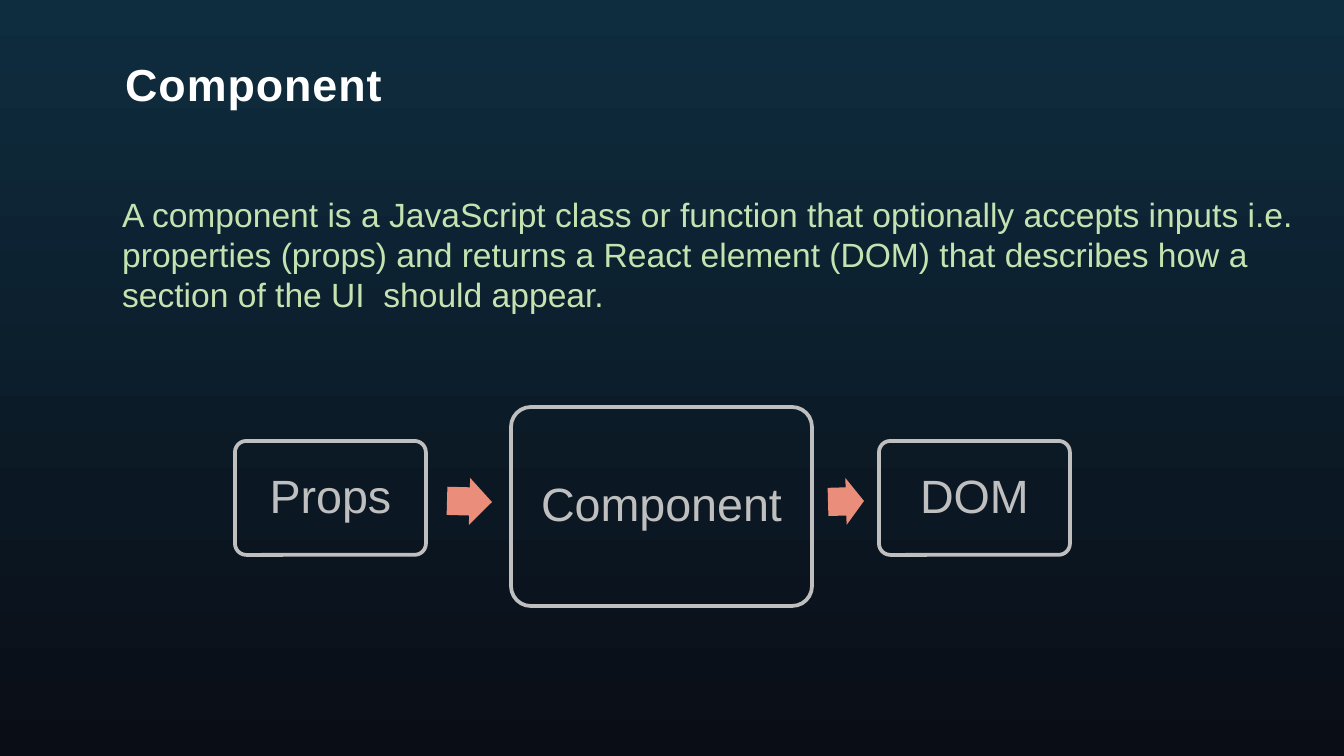
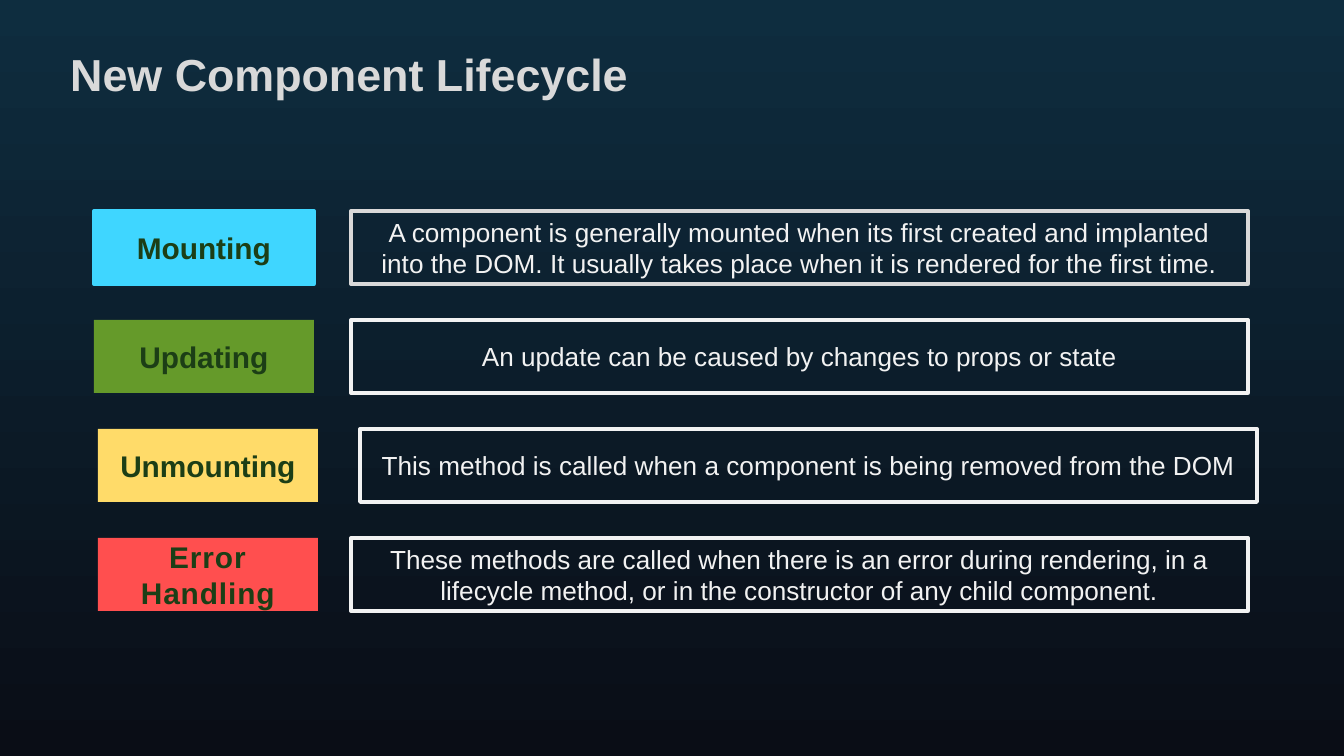
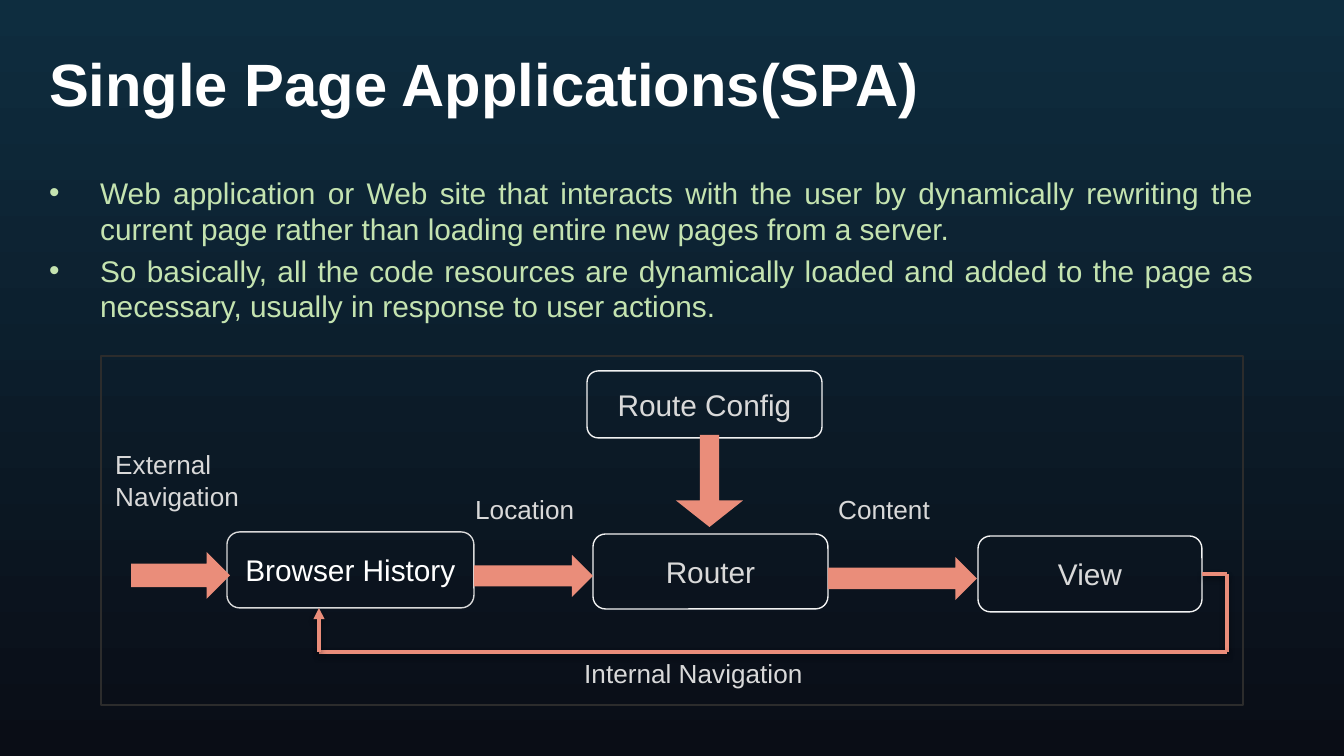
from lxml.etree import SubElement
from pptx import Presentation
from pptx.dml.color import RGBColor
from pptx.enum.shapes import MSO_CONNECTOR as Connector, MSO_SHAPE as Shape
from pptx.enum.text import MSO_ANCHOR as Anchor, PP_ALIGN as Align
from pptx.oxml.ns import qn
from pptx.util import Pt

# Shared look
WIDTH, HEIGHT = 1344, 756
SCALE = 9144000 / WIDTH
FONT = "Arial"
COLORS = {
    "sky": "0E2D3F", "night": "0A0D16", "white": "FFFFFF", "pale": "F2F2F2",
    "light": "D9D9D9", "gray": "BFBFBF", "frame": "2C2C2C", "mint": "C4E3B0",
    "coral": "EA8D7A", "forest": "1C3E16", "blue": "3FD6FF", "green": "659A2A",
    "yellow": "FFDB69", "red": "FF4F4F", "shadow": "000000",
}


def px(length):
    return round(length * SCALE)


def rgb(name):
    return RGBColor.from_string(COLORS[name])


# Text
def add_bullet(paragraph, indent):
    properties = paragraph._p.get_or_add_pPr()
    properties.set("marL", str(px(indent)))
    properties.set("indent", str(-px(indent)))
    SubElement(properties, qn("a:buFont")).set("typeface", FONT)
    SubElement(properties, qn("a:buChar")).set("char", "•")


def write_text(shape, text, *, size, color, bold=False, align=Align.LEFT,
               anchor=Anchor.TOP, wrap=True, spacing=0, before=0, line=None,
               bullet_indent=0):
    frame = shape.text_frame
    frame.word_wrap = wrap
    frame.vertical_anchor = anchor
    frame.text = text
    for paragraph in frame.paragraphs:
        paragraph.alignment = align
        if line:
            paragraph.line_spacing = line
        if before:
            paragraph.space_before = Pt(before)
        if bullet_indent:
            add_bullet(paragraph, bullet_indent)
        for run in paragraph.runs:
            font = run.font
            font.name, font.size, font.bold = FONT, Pt(size), bold
            font.color.rgb = rgb(color)
            if spacing:
                run._r.get_or_add_rPr().set("spc", str(round(spacing * 100)))


def add_text(slide, box, text, **text_format):
    shape = slide.shapes.add_textbox(*map(px, box))
    write_text(shape, text, **text_format)


def add_title(slide, box, text, size=24, color="white", **text_format):
    add_text(slide, box, text, size=size, color=color, bold=True, **text_format)


# Shapes
def add_block(slide, kind, box, fill=None, line=None, line_width=2,
              adjustments=(), rotation=0):
    shape = slide.shapes.add_shape(kind, *map(px, box))
    shape.shadow.inherit = False
    shape.rotation = rotation
    for index, value in enumerate(adjustments):
        shape.adjustments[index] = value
    if fill:
        shape.fill.solid()
        shape.fill.fore_color.rgb = rgb(fill)
    else:
        shape.fill.background()
    if line:
        shape.line.color.rgb = rgb(line)
        shape.line.width = Pt(line_width)
    else:
        shape.line.fill.background()
    return shape


def add_box(slide, box, text, size, color, kind=Shape.RECTANGLE, bold=False,
            spacing=0, text_line=None, **block_format):
    shape = add_block(slide, kind, box, **block_format)
    write_text(shape, text, size=size, color=color, bold=bold, spacing=spacing,
               line=text_line, align=Align.CENTER, anchor=Anchor.MIDDLE)
    return shape


def add_arrow(slide, box, kind=Shape.RIGHT_ARROW, **block_format):
    return add_block(slide, kind, box, fill="coral", **block_format)


def add_line(slide, start, end, arrow=False):
    connector = slide.shapes.add_connector(
        Connector.STRAIGHT, *map(px, (*start, *end)))
    connector.line.color.rgb = rgb("coral")
    connector.line.width = Pt(2)
    if arrow:
        SubElement(connector.line._get_or_add_ln(), qn("a:tailEnd")).set("type", "triangle")
    # Soft shadow straight below the line
    effects = SubElement(connector._element.spPr, qn("a:effectLst"))
    shadow = SubElement(effects, qn("a:outerShdw"), blurRad=str(Pt(3.1)),
                        dist=str(Pt(1.6)), dir="5400000", rotWithShape="0")
    shade = SubElement(shadow, qn("a:srgbClr"), val=COLORS["shadow"])
    SubElement(shade, qn("a:alpha"), val="38000")
    return connector


# Slides
def set_background(master):
    fill = master.background.fill
    fill.gradient()
    fill.gradient_angle = 270
    for stop, name in zip(fill.gradient_stops, ("sky", "night")):
        stop.color.rgb = rgb(name)


def build_component(slide):
    for box, text in (((235, 441, 191, 114), "Props"),
                      ((511, 407, 301, 199), "Component"),
                      ((879, 441, 191, 114), "DOM")):
        add_box(slide, box, text, 25, "gray", kind=Shape.ROUNDED_RECTANGLE,
                line="gray", adjustments=(0.1,), text_line=0.9)
    for box, rotation in (((447, 478, 45, 47), 1.5), ((828, 478, 36, 47), 358.4)):
        add_arrow(slide, box, adjustments=(0.6, 0.5), rotation=rotation)
    add_text(slide, (109, 187, 1210, 136),
             "A component is a JavaScript class or function that optionally accepts "
             "inputs i.e. properties (props) and returns a React element (DOM) that "
             "describes how a section of the UI  should appear.",
             size=18, color="mint")
    add_title(slide, (112, 50, 448, 67), "Component", spacing=0.5)


def build_lifecycle(slide):
    add_title(slide, (57, 40, 1232, 117), "New Component Lifecycle", color="light")
    # Label, label left, fill, label line, letter spacing, text left, box line, text
    phases = (
        ("Mounting", 94, "blue", "blue", 0, 351, "light",
         "A component is generally mounted when its first created and implanted "
         "into the DOM. It usually takes place when it is rendered for the first time."),
        ("Updating", 94, "green", None, 0, 351, "pale",
         "An update can be caused by changes to props or state"),
        ("Unmounting", 98, "yellow", None, 0, 360, "pale",
         "This method is called when a component is being removed from the DOM"),
        ("Error Handling", 98, "red", None, 0.5, 351, "pale",
         "These methods are called when there is an error during rendering, in a "
         "lifecycle method, or in the constructor of any child component."),
    )
    for row, (label, left, fill, edge, spacing, text_left, line, text) in enumerate(phases):
        top = 211 + 109 * row
        add_box(slide, (left, top, 220, 73), label, 16, "forest", bold=True,
                spacing=spacing, fill=fill, line=edge)
        add_box(slide, (text_left, top, 897, 73), text, 14, "pale", line=line)


def build_spa(slide):
    add_title(slide, (36, 40, 1159, 128), "Single Page Applications(SPA)", size=32)
    add_text(slide, (36, 168, 1231, 207),
             "Web application or Web site that interacts with the user by dynamically "
             "rewriting the current page rather than loading entire new pages from a "
             "server.\nSo basically, all the code resources are dynamically loaded and "
             "added to the page as necessary, usually in response to user actions.",
             size=16, color="mint", align=Align.JUSTIFY, before=3.2, bullet_indent=51)
    add_block(slide, Shape.RECTANGLE, (101, 356, 1142, 349), line="frame", line_width=0.75)

    # Routing stages
    stages = {}
    for text, box, color, line in (
            ("Route Config", (587, 371, 235, 67), "light", "pale"),
            ("Router", (593, 534, 235, 75), "light", "pale"),
            ("Browser History", (227, 532, 247, 76), "white", "light"),
            ("View", (978, 536, 224, 76), "light", "pale")):
        stages[text] = add_box(slide, box, text, 16, color, line=line, line_width=0.75,
                               kind=Shape.ROUNDED_RECTANGLE)
    for box in ((131, 552, 99, 47), (474, 555, 119, 42), (828, 557, 149, 43)):
        add_arrow(slide, box)
    add_arrow(slide, (676, 435, 67, 92), Shape.DOWN_ARROW, adjustments=(0.289, 0.395))

    # Way back from the view to the history
    corners = ((1202, 574), (1227, 574), (1227, 652), (319, 652), (319, 608))
    sections = [add_line(slide, start, end, arrow=end == corners[-1])
                for start, end in zip(corners, corners[1:])]
    sections[0].begin_connect(stages["View"], 3)

    # Labels
    for box, text in (((462, 487, 126, 45), "Location"),
                      ((825, 487, 120, 45), "Content"),
                      ((102, 442, 152, 77), "External\nNavigation"),
                      ((571, 651, 246, 45), "Internal Navigation")):
        add_text(slide, box, text, size=14, color="light", wrap=False)


def main():
    presentation = Presentation()
    presentation.slide_width, presentation.slide_height = px(WIDTH), px(HEIGHT)
    set_background(presentation.slide_master)
    blank = presentation.slide_layouts[6]
    for build in (build_component, build_lifecycle, build_spa):
        build(presentation.slides.add_slide(blank))
    presentation.save("out.pptx")


if __name__ == "__main__":
    main()
